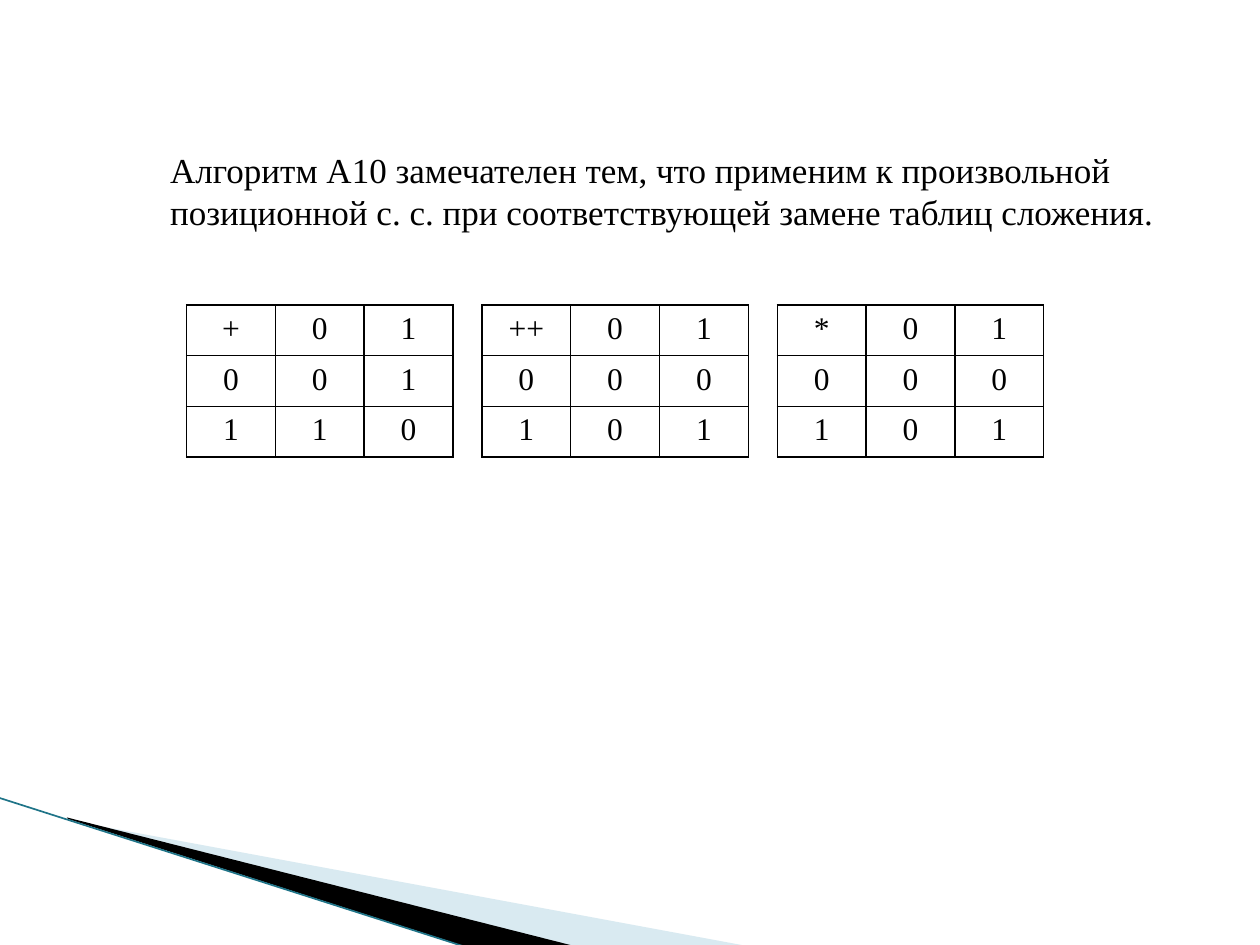
"""Build a slide with three binary operation tables under a short statement."""
import lxml.etree
import pptx
import pptx.dml.color
import pptx.enum.shapes
import pptx.enum.text
import pptx.oxml.ns
import pptx.util
from pptx.util import Cm

STATEMENT = ("Алгоритм А10 замечателен тем, что применим к произвольной "
             "позиционной с. с. при соответствующей замене таблиц сложения.")
OPERATIONS = [
    [("+", "0", "1"), ("0", "0", "1"), ("1", "1", "0")],
    [("++", "0", "1"), ("0", "0", "0"), ("1", "0", "1")],
    [("*", "0", "1"), ("0", "0", "0"), ("1", "0", "1")],
]
WEDGES = [
    {"points": [(1.4, 16.54), (15.11, 19.08), (11.58, 19.08), (1.4, 16.51)],
     "color": "A0CBDC", "opacity": 40},
    {"points": [(1.35, 16.48), (11.61, 19.08), (9.45, 19.1), (1.37, 16.51)],
     "color": "000000", "opacity": 100},
]
EDGE = {"start": (-0.03, 16.08), "end": (9.42, 19.1), "color": "1F7488"}
TABLE_LEFT, TABLE_TOP, TABLE_STEP = 3.76, 6.15, 5.955
COLUMN_WIDTH, ROW_HEIGHT = 1.79, 1.02
BORDER_SIDES = ("L", "R", "T", "B")


def rgb(color):
    """Turn a hex string into a colour."""
    return pptx.dml.color.RGBColor.from_string(color)


def apply(target, values):
    """Set attributes from a dict."""
    for name, value in values.items():
        setattr(target, name, value)


def add_child(parent, tag, **attributes):
    """Append a drawing element."""
    return lxml.etree.SubElement(parent, pptx.oxml.ns.qn(tag), attributes)


def write(paragraph, text, size):
    """Add a black run in the slide's font."""
    run = paragraph.add_run()
    run.text = text
    apply(run.font, {"name": "Times New Roman", "size": pptx.util.Pt(size), "bold": False})
    run.font.color.rgb = rgb("000000")


def add_wedge(slide, points, color, opacity):
    """Draw one filled wedge of the corner decoration."""
    corners = [(Cm(x), Cm(y)) for x, y in points]
    builder = slide.shapes.build_freeform(*corners[0])
    builder.add_line_segments(corners[1:])
    shape = builder.convert_to_shape()
    shape.shadow.inherit = False
    shape.line.fill.background()
    shape.fill.solid()
    shape.fill.fore_color.rgb = rgb(color)
    if opacity < 100:
        fill_color = shape.fill._xPr.find(".//" + pptx.oxml.ns.qn("a:srgbClr"))
        add_child(fill_color, "a:alpha", val=str(opacity * 1000))


def add_edge(slide, start, end, color):
    """Draw the thin line along the wedges."""
    connector = slide.shapes.add_connector(
        pptx.enum.shapes.MSO_CONNECTOR.STRAIGHT, *map(Cm, start + end))
    connector.line.color.rgb = rgb(color)
    connector.line.width = pptx.util.Pt(0.95)
    add_child(connector._element.spPr, "a:effectLst")


def add_statement(slide):
    """Place the statement above the tables."""
    shape = slide.shapes.add_textbox(Cm(3.18), Cm(2.87), Cm(20.83), Cm(1.96))
    apply(shape.text_frame, {
        "word_wrap": True, "vertical_anchor": pptx.enum.text.MSO_ANCHOR.MIDDLE})
    write(shape.text_frame.paragraphs[0], STATEMENT, 20)


def format_cell(cell, text):
    """Write a centred value in an unfilled, bordered cell."""
    paragraph = cell.text_frame.paragraphs[0]
    paragraph.alignment = pptx.enum.text.PP_ALIGN.CENTER
    write(paragraph, text, 18)
    properties = cell._tc.get_or_add_tcPr()
    for side in BORDER_SIDES:
        border = add_child(properties, f"a:ln{side}", w="12700")
        add_child(add_child(border, "a:solidFill"), "a:srgbClr", val="000000")
    cell.fill.background()


def add_operation(slide, index, rows):
    """Place one operation table in the row of tables."""
    table = slide.shapes.add_table(
        len(rows), len(rows[0]), Cm(TABLE_LEFT + index * TABLE_STEP), Cm(TABLE_TOP),
        Cm(COLUMN_WIDTH * len(rows[0])), Cm(ROW_HEIGHT * len(rows))).table
    apply(table, {"first_row": False, "horz_banding": False})
    for row_index, row in enumerate(rows):
        for column_index, text in enumerate(row):
            format_cell(table.cell(row_index, column_index), text)


def main():
    """Build and save the presentation."""
    presentation = pptx.Presentation()
    apply(presentation, {"slide_width": Cm(25.4), "slide_height": Cm(19.05)})
    slide = presentation.slides.add_slide(presentation.slide_layouts[6])
    for wedge in WEDGES:
        add_wedge(slide, **wedge)
    add_edge(slide, **EDGE)
    add_statement(slide)
    for index, rows in enumerate(OPERATIONS):
        add_operation(slide, index, rows)
    presentation.save("out.pptx")


if __name__ == "__main__":
    main()
